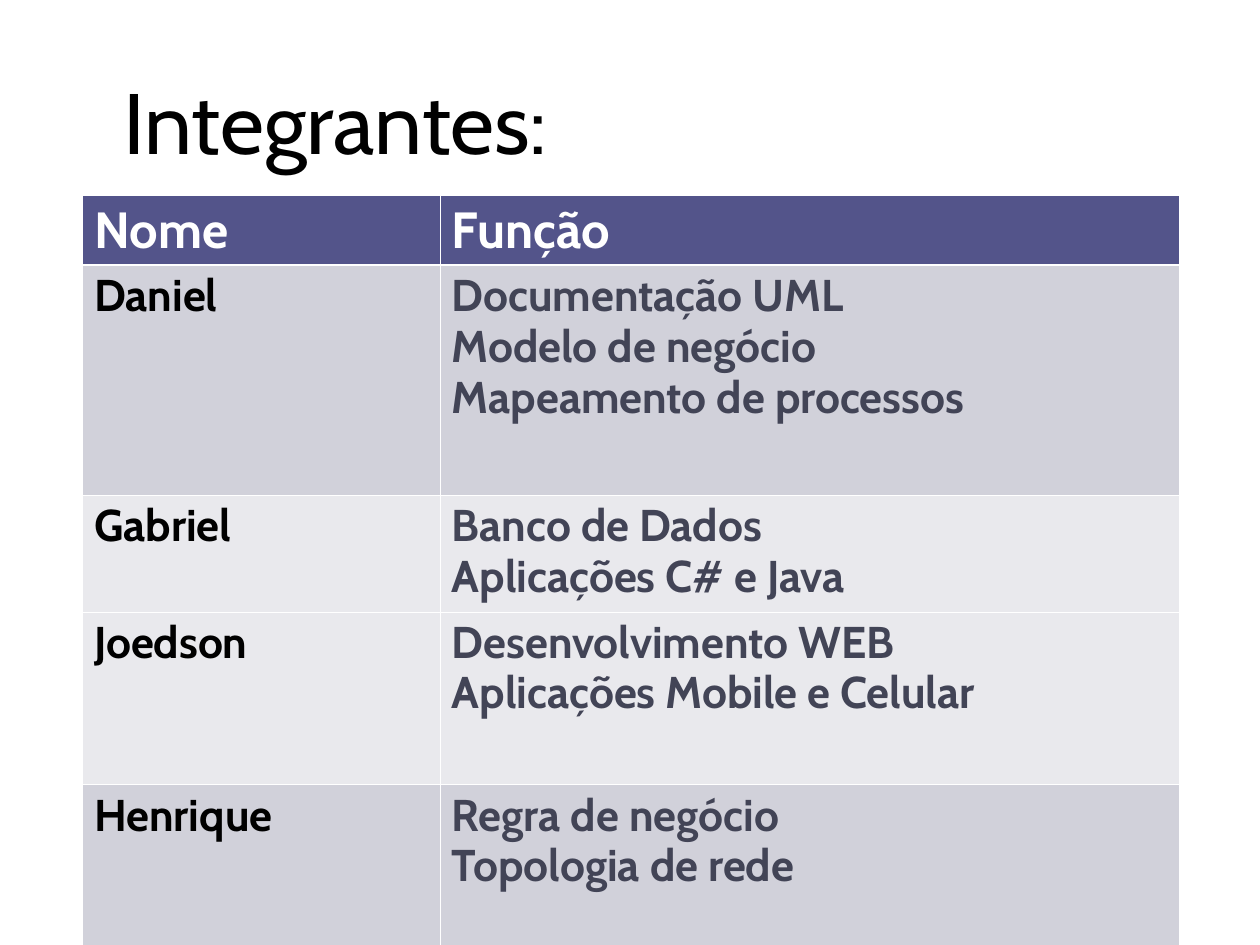
from pptx import Presentation
from pptx.dml.color import RGBColor
from pptx.enum import text
from pptx.oxml import parse_xml
from pptx.oxml.ns import nsdecls
from pptx.util import Cm, Pt

HEADINGS = ("Nome", "Função")
MEMBERS = [
    ("Daniel", ["Documentação UML", "Modelo de negócio", "Mapeamento de processos"]),
    ("Gabriel", ["Banco de Dados", "Aplicações C# e Java"]),
    ("Joedson", ["Desenvolvimento WEB", "Aplicações Mobile e Celular"]),
    ("Henrique", ["Regra de negócio", "Topologia de rede"]),
]
ROW_FILLS = ["D1D1DA", "E9E9ED", "E9E9ED", "D1D1DA"]
ROW_HEIGHTS = [1.52, 5.11, 2.59, 3.84, 3.84]
COLUMN_WIDTHS = [7.95, 16.41]
THIN, THICK = 0.45, 1.47


def color(hex_code):
    return RGBColor.from_string(hex_code)


class TeamSlide:
    font_name = "Cabin"
    header_fill = "53548A"
    white, black, slate = "FFFFFF", "000000", "424456"

    def __init__(self, presentation):
        self.slide = presentation.slides.add_slide(presentation.slide_layouts[5])

    def add_run(self, paragraph, words, size, hex_code, bold):
        run = paragraph.add_run()
        run.text = words
        run.font.name = self.font_name
        run.font.size = Pt(size)
        run.font.bold = bold
        run.font.color.rgb = color(hex_code)

    def add_title(self, words):
        title = self.slide.shapes.title
        title.left, title.top, title.width, title.height = Cm(2.2), Cm(1.4), Cm(22.86), Cm(2.9)
        frame = title.text_frame
        frame.auto_size = text.MSO_AUTO_SIZE.NONE
        frame.vertical_anchor = text.MSO_ANCHOR.TOP
        frame.margin_left = Cm(0.54)
        heading = frame.paragraphs[0]
        heading.alignment = text.PP_ALIGN.LEFT
        self.add_run(heading, words, 54, self.black, False)

    def add_borders(self, cell, top, bottom):
        properties = cell._tc.get_or_add_tcPr()
        for side, width in zip("LRTB", (THIN, THIN, top, bottom)):
            properties.append(parse_xml(
                f'<a:ln{side} {nsdecls("a")} w="{Pt(width)}"><a:solidFill>'
                f'<a:srgbClr val="{self.white}"/></a:solidFill></a:ln{side}>'))

    def fill_cell(self, cell, lines, size, hex_code, fill):
        cell.fill.solid()
        cell.fill.fore_color.rgb = color(fill)
        frame = cell.text_frame
        for index, line in enumerate(lines):
            paragraph = frame.add_paragraph() if index else frame.paragraphs[0]
            paragraph.line_spacing = 0.94
            self.add_run(paragraph, line, size, hex_code, True)

    def add_team_table(self, headings, members):
        table = self.slide.shapes.add_table(
            len(members) + 1, len(headings), Cm(1.84), Cm(4.35),
            Cm(sum(COLUMN_WIDTHS)), Cm(sum(ROW_HEIGHTS))).table
        for column, width in zip(table.columns, COLUMN_WIDTHS):
            column.width = Cm(width)
        for index, (row, height) in enumerate(zip(table.rows, ROW_HEIGHTS)):
            row.height = Cm(height)
            for cell in row.cells:
                self.add_borders(cell, THICK if index == 1 else THIN,
                                 THICK if index == 0 else THIN)
        for column, heading in enumerate(headings):
            self.fill_cell(table.cell(0, column), [heading], 32, self.white, self.header_fill)
        for row, ((name, roles), fill) in enumerate(zip(members, ROW_FILLS), start=1):
            self.fill_cell(table.cell(row, 0), [name], 28, self.black, fill)
            self.fill_cell(table.cell(row, 1), roles, 28, self.slate, fill)


def main():
    presentation = Presentation()
    presentation.slide_width, presentation.slide_height = Cm(28), Cm(21)
    team = TeamSlide(presentation)
    team.add_title("Integrantes:")
    team.add_team_table(HEADINGS, MEMBERS)
    presentation.save("out.pptx")


if __name__ == "__main__":
    main()
